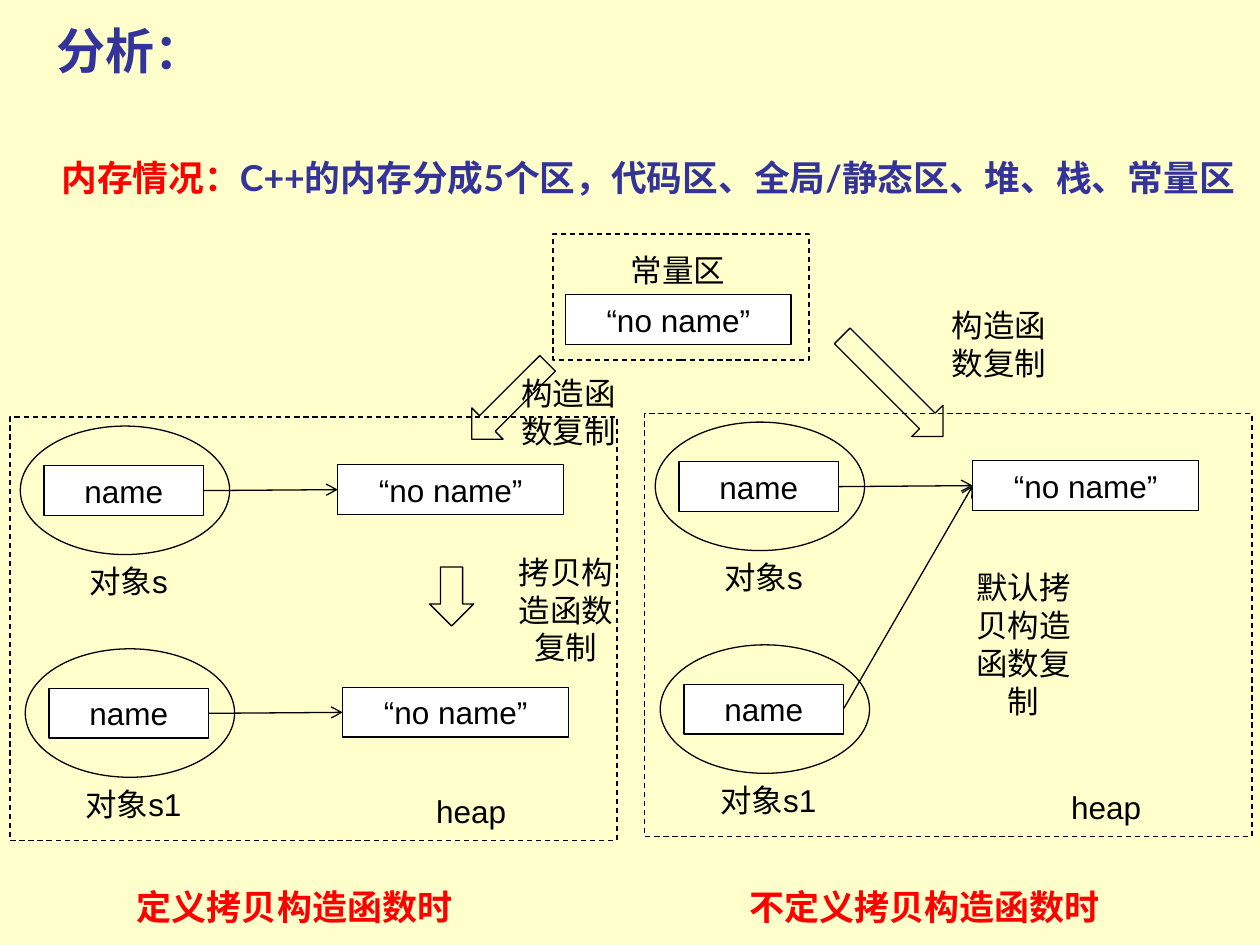
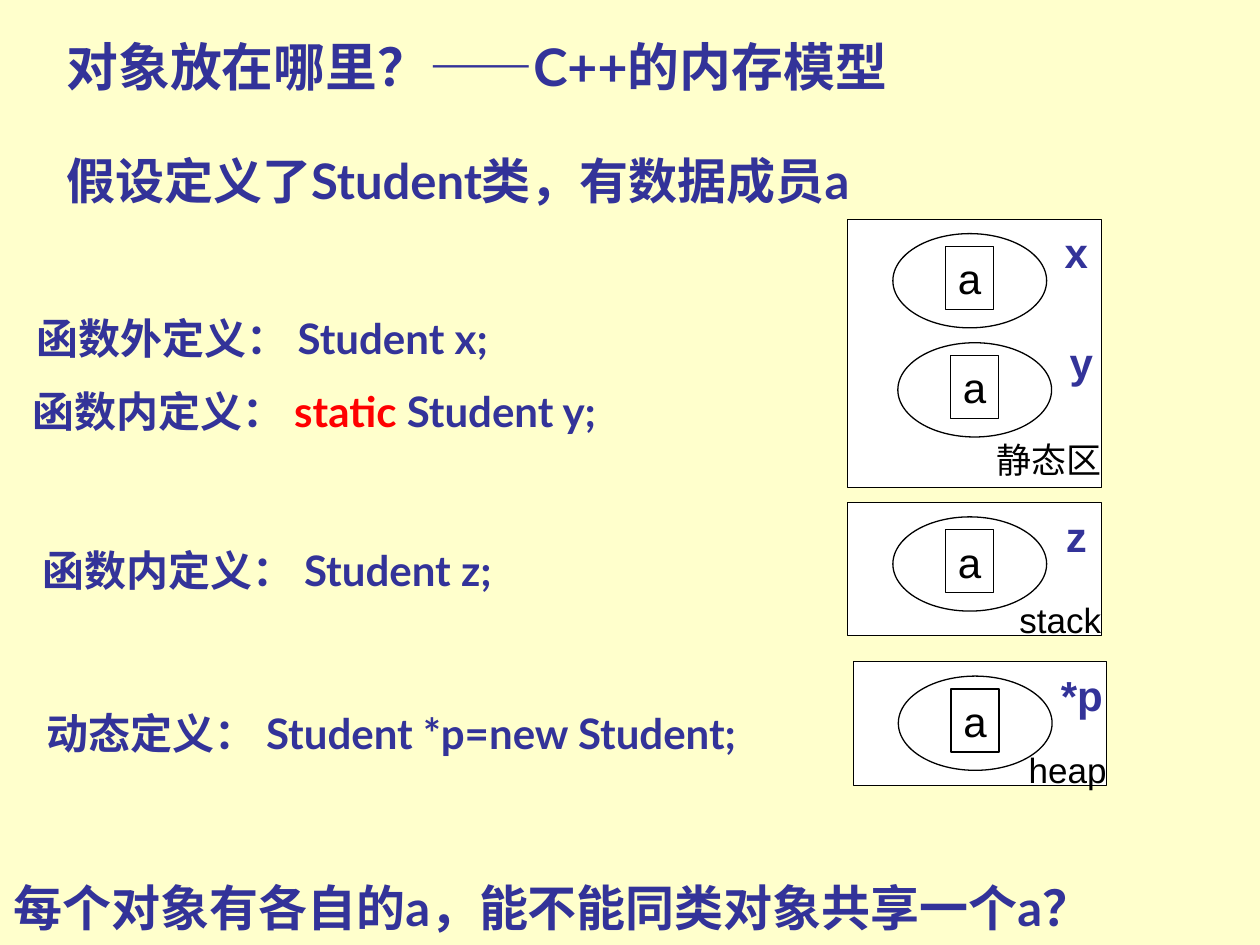
from dataclasses import dataclass

from lxml.etree import SubElement
from pptx import Presentation
from pptx.dml.color import RGBColor
from pptx.enum.dml import MSO_LINE_DASH_STYLE as Dash
from pptx.enum.shapes import MSO_CONNECTOR as Connector
from pptx.enum.shapes import MSO_SHAPE as Shape
from pptx.enum.text import MSO_ANCHOR as Anchor
from pptx.enum.text import PP_ALIGN as Align
from pptx.oxml.ns import qn
from pptx.util import Cm, Pt


@dataclass(frozen=True)
class Theme:
    background: RGBColor = RGBColor(0xFF, 0xFF, 0xCC)
    heading: RGBColor = RGBColor(0x33, 0x33, 0x99)
    accent: RGBColor = RGBColor(0xFF, 0x00, 0x00)
    ink: RGBColor = RGBColor(0x00, 0x00, 0x00)
    paper: RGBColor = RGBColor(0xFF, 0xFF, 0xFF)
    heading_font: str = "Lato"
    label_font: str = "Arial"
    title_size: float = 28
    model_title_size: float = 29.6
    intro_size: float = 20.4
    statement_size: float = 24
    caption_size: float = 20
    label_size: float = 18
    line_width: float = 0.75


class Deck:
    def __init__(self, theme):
        self.theme = theme
        self.presentation = Presentation()
        self.presentation.slide_width = Cm(25.4)
        self.presentation.slide_height = Cm(19.05)
        fill = self.presentation.slide_master.background.fill
        fill.solid()
        fill.fore_color.rgb = theme.background
        self.slide = None

    def new_slide(self):
        self.slide = self.presentation.slides.add_slide(self.presentation.slide_layouts[6])

    def set_text(self, text_frame, segments, size, font, bold=False, align=None, spacing=None):
        paragraph = text_frame.paragraphs[0]
        paragraph.alignment = align
        paragraph.line_spacing = spacing
        for text, color in segments:
            run = paragraph.add_run()
            run.text = text
            run.font.size = Pt(size)
            run.font.name = font
            run.font.bold = bold
            run.font.color.rgb = color

    def text_box(self, left, top, width, height, segments, size, font, inset=0.25,
                 anchor=Anchor.TOP, **style):
        box = self.slide.shapes.add_textbox(Cm(left), Cm(top), Cm(width), Cm(height))
        text_frame = box.text_frame
        text_frame.word_wrap = True
        text_frame.vertical_anchor = anchor
        text_frame.margin_left = text_frame.margin_right = Cm(inset)
        self.set_text(text_frame, segments, size, font, **style)

    def heading(self, left, top, width, segments, size, height=1.52, **style):
        if isinstance(segments, str):
            segments = [(segments, self.theme.heading)]
        self.text_box(left, top, width, height, segments, size, self.theme.heading_font,
                      anchor=Anchor.BOTTOM, bold=True, **style)

    def label(self, left, top, text, height=1.02):
        self.text_box(left, top, 3.0, height, [(text, self.theme.ink)],
                      self.theme.label_size, self.theme.label_font, align=Align.CENTER)

    def outline(self, kind, left, top, width, height, fill=None, dashed=False, rotation=0):
        shape = self.slide.shapes.add_shape(kind, Cm(left), Cm(top), Cm(width), Cm(height))
        shape.shadow.inherit = False
        shape.rotation = rotation
        if fill is None:
            shape.fill.background()
        else:
            shape.fill.solid()
            shape.fill.fore_color.rgb = fill
        shape.line.color.rgb = self.theme.ink
        shape.line.width = Pt(self.theme.line_width)
        if dashed:
            shape.line.dash_style = Dash.DASH
        return shape

    def cell(self, left, top, width, height, text, size, fill=None):
        shape = self.outline(Shape.RECTANGLE, left, top, width, height, fill)
        text_frame = shape.text_frame
        text_frame.margin_left = text_frame.margin_right = 0
        text_frame.margin_top = text_frame.margin_bottom = 0
        self.set_text(text_frame, [(text, self.theme.ink)], size, self.theme.label_font,
                      align=Align.CENTER)
        return shape

    def value(self, left, top):
        return self.cell(left, top, 4.55, 1.0, "“no name”", self.theme.label_size,
                         self.theme.paper)

    def pointer(self, source, target):
        connector = self.slide.shapes.add_connector(Connector.STRAIGHT, 0, 0, 0, 0)
        connector.begin_connect(source, 3)
        connector.end_connect(target, 1)
        connector.line.color.rgb = self.theme.ink
        connector.line.width = Pt(self.theme.line_width)
        properties = connector._element.spPr
        SubElement(properties.find(qn("a:ln")), qn("a:tailEnd"), type="arrow")
        SubElement(properties, qn("a:effectLst"))

    def named_object(self, left, top, caption):
        name = self.cell(left + 0.48, top + 0.8, 3.21, 1.0, "name", self.theme.label_size,
                         self.theme.paper)
        self.outline(Shape.OVAL, left, top, 4.22, 2.59)
        self.label(left + 0.68, top + 2.62, caption)
        return name

    def heap_panel(self, left, top, caption_left, caption, deep_copy):
        self.outline(Shape.RECTANGLE, left, top, 12.24, 8.53, dashed=True)
        first = self.named_object(left + 0.21, top + 0.18, "对象s")
        second = self.named_object(left + 0.31, top + 4.67, "对象s1")
        first_value = self.value(left + 6.61, top + 0.96)
        second_value = self.value(left + 6.71, top + 5.45) if deep_copy else first_value
        self.pointer(first, first_value)
        self.pointer(second, second_value)
        self.label(left + 7.8, top + 7.44, "heap")
        self.text_box(caption_left, 17.73, 9.7, 1.12, [(caption, self.theme.accent)],
                      self.theme.caption_size, self.theme.heading_font, bold=True,
                      align=Align.CENTER)

    def copy_arrow(self, left, top, height, rotation=0):
        self.outline(Shape.DOWN_ARROW, left, top, 0.89, height, rotation=rotation)

    def memory_region(self, left, top, height, caption, variables, caption_drop=0.25):
        theme = self.theme
        self.outline(Shape.RECTANGLE, left, top, 5.11, height, theme.paper)
        for index, variable in enumerate(variables):
            x, y = left + 0.1 * index, top + 2.2 * index
            self.outline(Shape.OVAL, x + 0.91, y + 0.29, 3.1, 1.9)
            self.cell(x + 1.97, y + 0.55, 0.97, 1.27, "a", theme.statement_size)
            self.text_box(x + 3.61, y + 0.03, 2.0, 1.27, [(variable, theme.heading)],
                          theme.statement_size, theme.label_font, bold=True,
                          align=Align.CENTER)
        self.text_box(left + 2.36, top + height - 1.12 + caption_drop, 3.0, 1.12,
                      [(caption, theme.ink)], theme.caption_size, theme.label_font,
                      align=Align.RIGHT)


def build_copy_analysis(deck):
    theme = deck.theme
    deck.new_slide()
    deck.heading(1.09, 0.13, 24.31, "分析：", theme.title_size, height=1.6, inset=0.05)
    deck.heading(1.19, 2.13, 24.31,
                 [("内存情况：", theme.accent),
                  ("C++的内存分成5个区，代码区、全局/静态区、堆、栈、常量区", theme.heading)],
                 theme.intro_size, height=2.01, inset=0.05, spacing=0.9)

    deck.outline(Shape.RECTANGLE, 11.15, 4.72, 5.16, 2.54, dashed=True)
    deck.label(12.17, 4.93, "常量区")
    deck.value(11.4, 5.94)

    deck.heap_panel(0.2, 8.41, 1.09, "定义拷贝构造函数时", deep_copy=True)
    deck.heap_panel(13.0, 8.33, 13.79, "不定义拷贝构造函数时", deep_copy=False)

    deck.copy_arrow(9.83, 7.01, 2.16, 45)
    deck.copy_arrow(8.66, 11.43, 1.19)
    deck.copy_arrow(17.55, 6.35, 2.87, 315)
    deck.label(9.96, 7.42, "构造函数复制", 1.78)
    deck.label(18.64, 6.05, "构造函数复制", 1.78)
    deck.label(9.91, 11.02, "拷贝构造函数复制", 2.54)
    deck.label(19.13, 11.33, "默认拷贝构造函数复制", 3.3)


def build_memory_model(deck):
    theme = deck.theme
    deck.new_slide()
    deck.heading(1.09, 0.58, 23.39, "对象放在哪里？——C++的内存模型",
                 theme.model_title_size, spacing=0.9)
    deck.heading(1.09, 2.82, 23.39, "假设定义了Student类，有数据成员a", theme.title_size)

    static_statement = [("函数内定义： ", theme.heading), ("static", theme.accent),
                        (" Student y;", theme.heading)]
    statements = [
        (0.48, 5.92, "函数外定义： Student x;"),
        (0.41, 7.39, static_statement),
        (0.61, 10.59, "函数内定义： Student z;"),
        (0.69, 13.89, "动态定义： Student *p=new Student;"),
    ]
    for left, top, statement in statements:
        deck.heading(left, top, 16.1, statement, theme.statement_size)

    deck.memory_region(17.09, 4.42, 5.41, "静态区", ["x", "y"], caption_drop=0)
    deck.memory_region(17.09, 10.13, 2.69, "stack", ["z"])
    deck.memory_region(17.2, 13.34, 2.49, "heap", ["*p"])

    deck.heading(0.03, 17.48, 23.39, "每个对象有各自的a，能不能同类对象共享一个a？",
                 theme.title_size)


def main():
    deck = Deck(Theme())
    build_copy_analysis(deck)
    build_memory_model(deck)
    deck.presentation.save("out.pptx")


if __name__ == "__main__":
    main()
